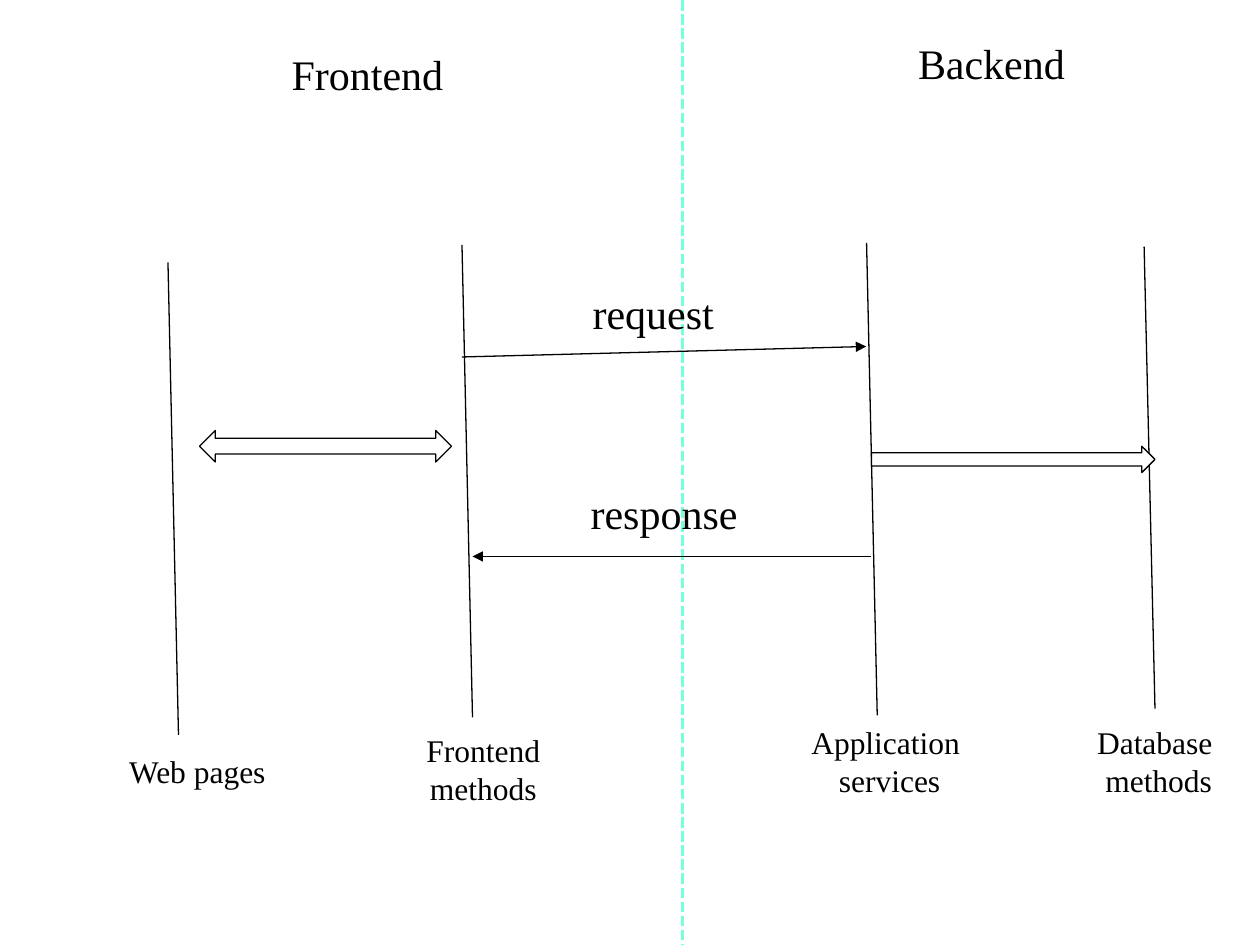
"""Build a sequence sketch of frontend and backend calls."""
from dataclasses import dataclass

from lxml import etree
from pptx import Presentation
from pptx import util as u
from pptx.dml.color import RGBColor
from pptx.enum import dml, shapes, text
from pptx.oxml import ns


@dataclass(frozen=True)
class Theme:
    font: str = "Times New Roman"
    ink: RGBColor = RGBColor(0x00, 0x00, 0x00)
    paper: RGBColor = RGBColor(0xFF, 0xFF, 0xFF)
    divider: RGBColor = RGBColor(0x75, 0xFF, 0xDD)
    heading: float = 24
    label: float = 18
    thin: float = 0.75
    thick: float = 2


THEME = Theme()


def set_attrs(obj, values):
    for name, value in values.items():
        setattr(obj, name, value)


def add_text(s, box, lines, size, wrap=False):
    tf = s.shapes.add_textbox(*map(u.Pt, box)).text_frame
    set_attrs(tf, {"word_wrap": wrap,
                   "auto_size": text.MSO_AUTO_SIZE.SHAPE_TO_FIT_TEXT})
    for i, line in enumerate(lines):
        p = tf.add_paragraph() if i else tf.paragraphs[0]
        p.alignment = text.PP_ALIGN.CENTER
        r = p.add_run()
        r.text = line
        set_attrs(r.font, {"name": THEME.font, "size": u.Pt(size)})
        r.font.color.rgb = THEME.ink


def add_line(s, start, end, color=THEME.ink, width=THEME.thin, dash=None, arrow=False):
    c = s.shapes.add_connector(shapes.MSO_CONNECTOR.STRAIGHT,
                               *map(u.Pt, (*start, *end)))
    set_attrs(c.line, {"width": u.Pt(width), "dash_style": dash})
    c.line.color.rgb = color
    if arrow:
        etree.SubElement(c.line._get_or_add_ln(), ns.qn("a:tailEnd"), type="triangle")
    etree.SubElement(c._element.spPr, ns.qn("a:effectLst"))


def add_block_arrow(s, kind, box):
    sp = s.shapes.add_shape(kind, *map(u.Pt, box))
    sp.shadow.inherit = False
    sp.fill.solid()
    sp.fill.fore_color.rgb = THEME.paper
    sp.line.width = u.Pt(THEME.thin)
    sp.line.color.rgb = THEME.ink


def add_lifeline(s, start, end, box, lines):
    add_line(s, start, end)
    add_text(s, box, lines, THEME.label)


def add_message(s, start, end, box, name):
    add_line(s, start, end, arrow=True)
    add_text(s, box, [name], THEME.heading)


def main():
    prs = Presentation()
    set_attrs(prs, {"slide_width": u.Pt(720), "slide_height": u.Pt(540)})
    s = prs.slides.add_slide(prs.slide_layouts[6])

    lifelines = [
        ((653.8, 141), (660, 405), (619.2, 409.7, 81.4, 51), ["Database", " methods"]),
        ((495.2, 138.8), (501.3, 408.8), (455.8, 409.7, 105.1, 51),
         ["Application ", "services"]),
        ((264, 140), (270, 410), (236.2, 414, 79.9, 51), ["Frontend", "methods"]),
        ((96, 150), (102, 420), (66, 426, 93.6, 28.8), ["Web pages"]),
    ]
    for lifeline in lifelines:
        add_lifeline(s, *lifeline)

    add_line(s, (390, 0), (390, 546), THEME.divider, THEME.thick,
             dml.MSO_LINE.SQUARE_DOT)

    for left, top, name in [(138, 24, "Frontend"), (494.6, 18, "Backend")]:
        add_text(s, (left, top, 144, 36), [name], THEME.heading, wrap=True)

    add_message(s, (264, 204), (495, 198), (331.2, 160.6, 84.2, 36), "request")
    add_message(s, (498, 318), (270, 318), (329.8, 275, 99.4, 36), "response")

    add_block_arrow(s, shapes.MSO_SHAPE.LEFT_RIGHT_ARROW, (114, 246, 144, 18))
    add_block_arrow(s, shapes.MSO_SHAPE.RIGHT_ARROW, (498, 255, 162, 15))

    prs.save("out.pptx")


if __name__ == "__main__":
    main()
